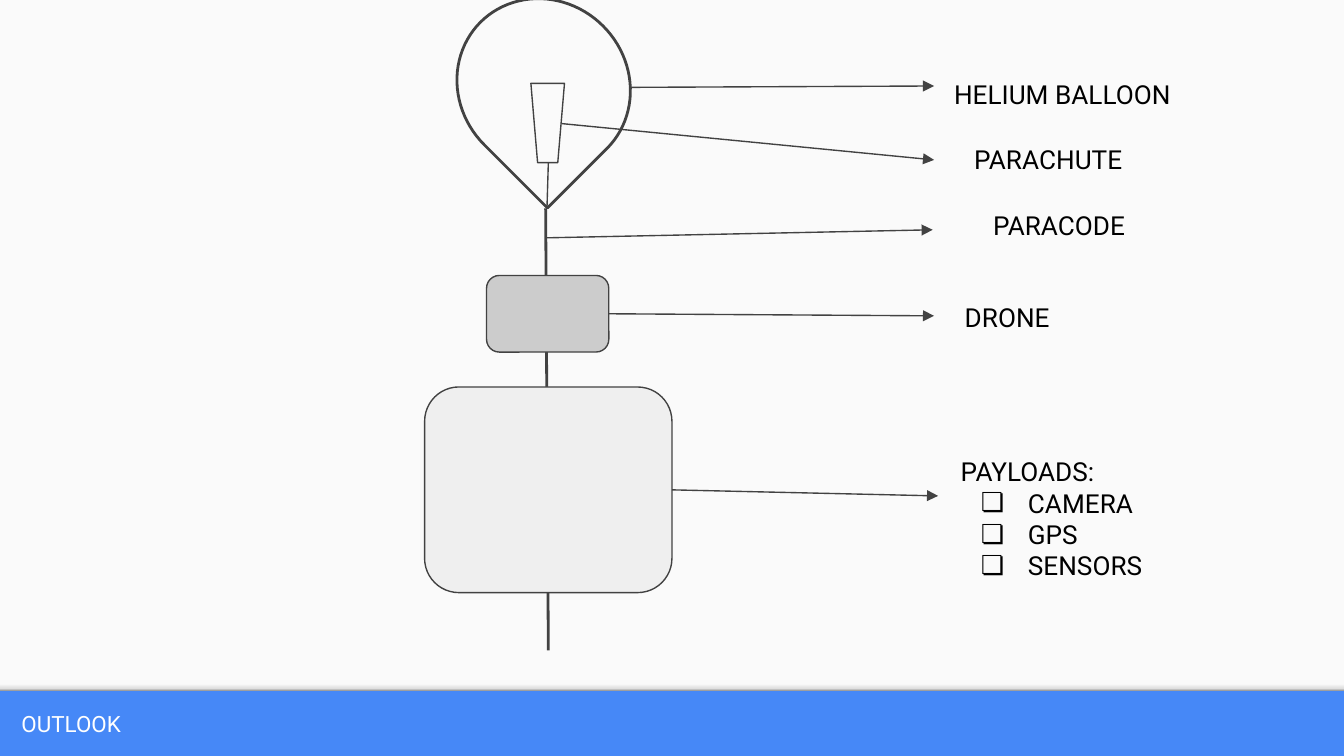
from copy import deepcopy

from lxml import etree
from pptx import Presentation
from pptx.dml.color import RGBColor
from pptx.enum.shapes import MSO_CONNECTOR, MSO_SHAPE
from pptx.enum.text import MSO_ANCHOR, MSO_AUTO_SIZE, PP_ALIGN
from pptx.oxml.ns import qn
from pptx.util import Pt

PX = 9144
FONT = "Roboto"
RIGHT_SIDE = 3
STRAIGHT = MSO_CONNECTOR.STRAIGHT
RECTANGLE = MSO_SHAPE.RECTANGLE
ROUNDED = MSO_SHAPE.ROUNDED_RECTANGLE
TEARDROP = MSO_SHAPE.TEAR
TRAPEZOID = MSO_SHAPE.FLOWCHART_MANUAL_OPERATION
MIDDLE = MSO_ANCHOR.MIDDLE
LEFT = PP_ALIGN.LEFT
GROW = MSO_AUTO_SIZE.SHAPE_TO_FIT_TEXT
NO_FIT = MSO_AUTO_SIZE.NONE

COLORS = {
    "footer": "4688F7",
    "panel": "FAFAFA",
    "outline": "424242",
    "drone": "CCCCCC",
    "payload": "EFEFEF",
    "title": "FFFFFF",
    "label": "000000",
}
SHADE_STOPS = [(0, "F9F9F9"), (0.36, "F9F9F9"), (0.8, "DEDEDE"), (1, "999999")]


def rgb(name):
    """Return the named palette colour."""
    return RGBColor.from_string(COLORS[name])


def px(*lengths):
    """Turn px lengths into EMU."""
    return [length * PX for length in lengths]


def set_font(paragraph, size, color):
    """Format every run of a paragraph."""
    for run in paragraph.runs:
        run.font.name = FONT
        run.font.size = Pt(size)
        run.font.color.rgb = rgb(color)


def set_insets(frame):
    """Give a text frame equal insets on all sides."""
    frame.margin_left = frame.margin_right = 10 * PX
    frame.margin_top = frame.margin_bottom = 10 * PX


def add_part(slide, preset, box, fill=None, width=0.75):
    """Add an outlined part of the flight train."""
    part = slide.shapes.add_shape(preset, *px(*box))
    part.shadow.inherit = False
    if fill:
        part.fill.solid()
        part.fill.fore_color.rgb = rgb(fill)
    else:
        part.fill.background()
    part.line.color.rgb = rgb("outline")
    part.line.width = Pt(width)
    return part


def add_line(slide, start, end, width=0.75, arrow=False):
    """Add a straight line, with an arrowhead at its end if asked."""
    line = slide.shapes.add_connector(STRAIGHT, *px(*start, *end))
    line.line.color.rgb = rgb("outline")
    line.line.width = Pt(width)
    if arrow:
        etree.SubElement(line.line._get_or_add_ln(), qn("a:tailEnd"), type="triangle")
    etree.SubElement(line._element.spPr, qn("a:effectLst"))
    return line


def add_backdrop(slide, left, top, width, height):
    """Draw the light panel with a shaded lower edge."""
    shade_height = 8
    panel = slide.shapes.add_shape(RECTANGLE, *px(left, top, width, height))
    panel.fill.solid()
    panel.fill.fore_color.rgb = rgb("panel")
    shade_top = top + height - shade_height
    shade = slide.shapes.add_shape(RECTANGLE, *px(left, shade_top, width, shade_height))
    shade.fill.gradient()
    shade.fill.gradient_angle = 270
    stop_list = shade._element.spPr.find(".//" + qn("a:gsLst"))
    for _ in SHADE_STOPS[2:]:
        stop_list.append(deepcopy(stop_list[0]))
    for stop, (position, color) in zip(shade.fill.gradient_stops, SHADE_STOPS):
        stop.position = position
        stop.color.rgb = RGBColor.from_string(color)
    for layer in (panel, shade):
        layer.shadow.inherit = False
        layer.line.fill.background()


def add_footer_title(slide, left, top, width, height):
    """Place the slide title in the footer bar."""
    title = slide.shapes.title
    title.left, title.top, title.width, title.height = px(left, top, width, height)
    frame = title.text_frame
    frame.text = "OUTLOOK"
    frame.auto_size = NO_FIT
    frame.vertical_anchor = MIDDLE
    set_insets(frame)
    frame.paragraphs[0].alignment = LEFT
    set_font(frame.paragraphs[0], 12, "title")


def add_flight_train(slide, left, top):
    """Draw the balloon, parachute, cord, drone and payload; return callout starts."""
    def at(x, y):
        return left + x, top + y

    add_line(slide, at(90, 155), at(92, 484), width=1.5)
    drone = add_part(slide, ROUNDED, (*at(46, 205), 91, 57), "drone")
    payload = add_part(slide, ROUNDED, (*at(0, 288), 184, 153), "payload")
    balloon = add_part(slide, TEARDROP, (*at(26, -3), 125, 133), width=1.5)
    balloon.rotation = 135
    add_part(slide, TRAPEZOID, (*at(79, 62), 25, 59))
    add_line(slide, at(92, 121), at(91, 155))
    return {
        "balloon": (at(153, 65), None),
        "parachute": (at(102, 92), None),
        "cord": (at(90, 177), None),
        "drone": (at(137, 233), drone),
        "payload": (at(184, 364), payload),
    }


def add_bullet(paragraph):
    """Give a paragraph a hanging box bullet."""
    properties = paragraph._p.get_or_add_pPr()
    properties.set("marL", str(50 * PX))
    properties.set("indent", str(-35 * PX))
    bullet_color = etree.SubElement(properties, qn("a:buClr"))
    etree.SubElement(bullet_color, qn("a:srgbClr"), val=COLORS["label"])
    etree.SubElement(properties, qn("a:buFont"), typeface=FONT)
    etree.SubElement(properties, qn("a:buChar"), char="❏")


def add_label(slide, box, heading, items=()):
    """Write a label with optional bulleted items."""
    frame = slide.shapes.add_textbox(*px(*box)).text_frame
    frame.word_wrap = True
    frame.auto_size = GROW
    set_insets(frame)
    frame.text = "\n".join([heading, *items])
    for paragraph in frame.paragraphs[1:]:
        add_bullet(paragraph)
    for paragraph in frame.paragraphs:
        set_font(paragraph, 14, "label")


def add_callouts(slide, left, top, starts):
    """Point an arrow from each part to its label."""
    callouts = [
        ("balloon", (1, 64), (6, 48, 242, 44), "HELIUM BALLOON", ()),
        ("parachute", (1, 119), (21, 97, 140, 44), "PARACHUTE", ()),
        ("cord", (0, 171), (35, 146, 182, 44), "PARACODE", ()),
        ("drone", (1, 235), (14, 214, 226, 44), "DRONE", ()),
        ("payload", (4, 369), (11, 329, 272, 138), "PAYLOADS:",
         ("CAMERA", "GPS", "SENSORS")),
    ]
    for part, (tip_x, tip_y), (x, y, width, height), heading, items in callouts:
        start, joined_part = starts[part]
        arrow = add_line(slide, start, (left + tip_x, top + tip_y), arrow=True)
        if joined_part is not None:
            arrow.begin_connect(joined_part, RIGHT_SIDE)
        add_label(slide, (left + x, top + y, width, height), heading, items)


def main():
    """Build and save the slide."""
    deck = Presentation()
    deck.slide_width = 1000 * PX
    deck.slide_height = deck.slide_width * 9 // 16
    slide = deck.slides.add_slide(deck.slide_layouts[5])
    slide.background.fill.solid()
    slide.background.fill.fore_color.rgb = rgb("footer")
    add_backdrop(slide, 0, 0, 1000, 514)
    add_footer_title(slide, 6, 514, 917, 49)
    starts = add_flight_train(slide, 316, 0)
    add_callouts(slide, 694, 0, starts)
    deck.save("out.pptx")


if __name__ == "__main__":
    main()
